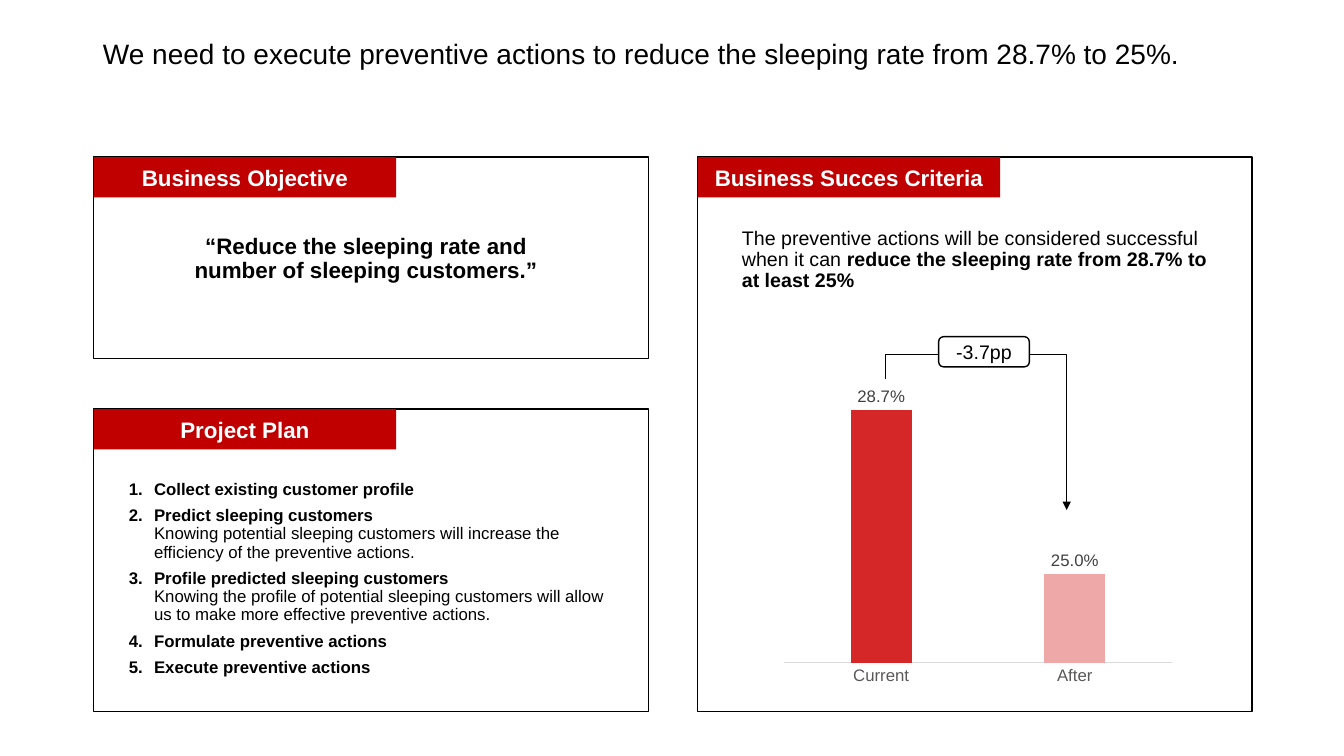
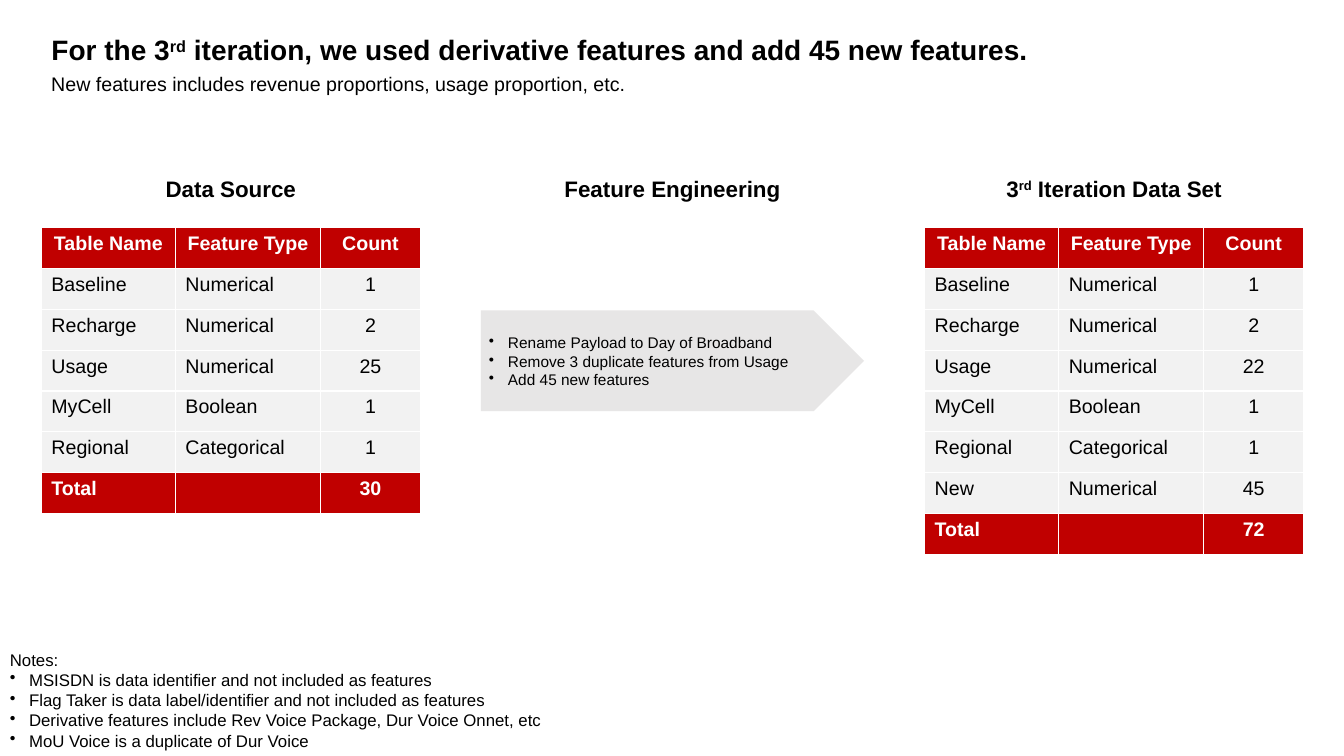
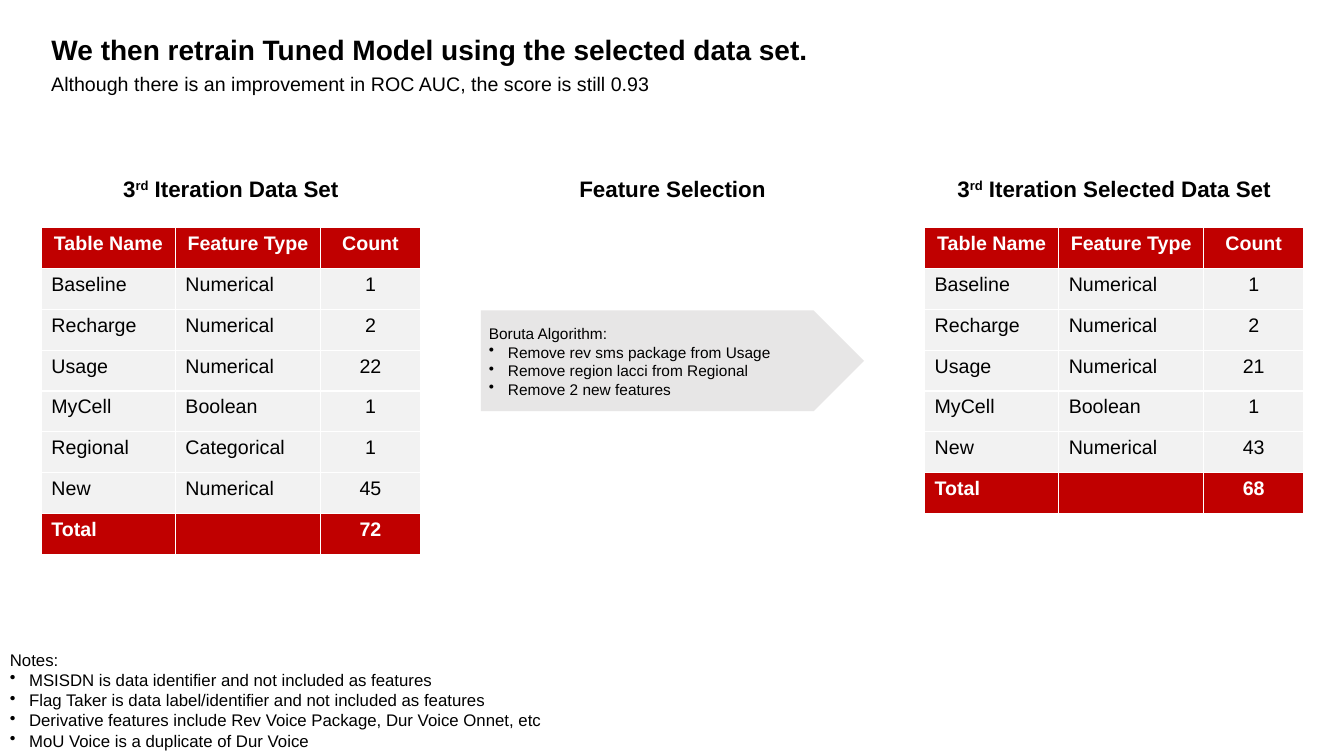
import pptx
import pptx.chart.data
import pptx.dml.color
import pptx.enum.chart
import pptx.enum.shapes
import pptx.enum.text
import pptx.oxml
import pptx.oxml.ns
import pptx.util
from lxml import etree

Inches = pptx.util.Inches
Pt = pptx.util.Pt
RGB = pptx.dml.color.RGBColor
SHAPE = pptx.enum.shapes.MSO_SHAPE
ALIGN = pptx.enum.text.PP_ALIGN
ANCHOR = pptx.enum.text.MSO_ANCHOR
qn = pptx.oxml.ns.qn

# Shared look
FONT = "Arial"
BLACK = RGB(0x00, 0x00, 0x00)
WHITE = RGB(0xFF, 0xFF, 0xFF)
RED = RGB(0xC0, 0x00, 0x00)
CELL_GRAY = RGB(0xF2, 0xF2, 0xF2)
ARROW_GRAY = RGB(0xE7, 0xE6, 0xE6)
BAR_RED = RGB(0xD6, 0x27, 0x28)
BAR_PINK = RGB(0xEF, 0xA8, 0xA8)
AXIS_LINE = RGB(0xD9, 0xD9, 0xD9)
AXIS_TEXT = RGB(0x59, 0x59, 0x59)
LABEL_TEXT = RGB(0x40, 0x40, 0x40)

# Data set pages
COL_WIDTHS = (1.33, 1.44, 0.99)
ROW_HEIGHT = 0.405
TABLE_HEAD = ("Table Name", "Feature Type", "Count")
NOTES = [
    ["Notes:"],
    ["MSISDN is data identifier and not included as features"],
    ["Flag Taker is data label/identifier and not included as features"],
    ["Derivative features include Rev Voice Package, Dur Voice Onnet, etc"],
    ["MoU Voice is a duplicate of Dur Voice"],
]
THIRD = ["3", ("rd", "sup")]


def set_font(font, size, color, bold=False):
    font.name = FONT
    font.size = Pt(size)
    font.bold = bold
    font.color.rgb = color


def add_bullet(p, indent, tag, **attrs):
    pPr = p._p.get_or_add_pPr()
    pPr.set("marL", str(Inches(indent)))
    pPr.set("indent", str(-Inches(indent)))
    etree.SubElement(pPr, qn(tag), attrs)


def write(tf, paras, size, color=BLACK, bold=False, align=ALIGN.LEFT,
          anchor=ANCHOR.MIDDLE, line=None, after=None):
    """Each paragraph is a list of runs: text, or (text, "bold" or "sup")."""
    tf.word_wrap = True
    tf.auto_size = pptx.enum.text.MSO_AUTO_SIZE.NONE
    tf.vertical_anchor = anchor
    for i, runs in enumerate(paras):
        p = tf.add_paragraph() if i else tf.paragraphs[0]
        p.alignment = align
        if line:
            p.line_spacing = line
        if after:
            p.space_after = Pt(after)
        for item in runs:
            text, style = (item, "") if isinstance(item, str) else item
            if text == "\n":
                p.add_line_break()
                etree.SubElement(p._p[-1], qn("a:rPr"), sz=str(size * 100))
                continue
            r = p.add_run()
            r.text = text
            set_font(r.font, size, color, bold or style == "bold")
            if style == "sup":
                r._r.get_or_add_rPr().set("baseline", "30000")


def add_text(slide, box, paras, size, **style):
    tf = slide.shapes.add_textbox(*map(Inches, box)).text_frame
    write(tf, paras, size, **style)
    return tf


def add_box(slide, box, fill, line=None, kind=SHAPE.RECTANGLE):
    sp = slide.shapes.add_shape(kind, *map(Inches, box))
    sp.shadow.inherit = False
    sp.fill.solid()
    sp.fill.fore_color.rgb = fill
    if line is None:
        sp.line.fill.background()
    else:
        sp.line.color.rgb = line
        sp.line.width = Pt(1)
    return sp


def add_page(prs, title, box, bold):
    slide = prs.slides.add_slide(prs.slide_layouts[5])
    sp = slide.shapes.title
    sp.left, sp.top, sp.width, sp.height = map(Inches, box)
    write(sp.text_frame, [title], 20, bold=bold, line=0.9)
    return slide


# Objective page
def add_panel(slide, box, heading):
    x, y, w, h = box
    add_box(slide, box, WHITE, BLACK)
    tab = add_box(slide, (x, y, 3, 0.4), RED)
    write(tab.text_frame, [[heading]], 16, color=WHITE, bold=True, align=ALIGN.CENTER)


def add_objective(slide, x, y):
    add_panel(slide, (x, y, 5.5, 2), "Business Objective")
    add_text(slide, (x + 0.7, y + 0.5, 4, 1.03),
             [["“Reduce the sleeping rate and number of sleeping customers.”"]],
             16, bold=True, align=ALIGN.CENTER, line=0.9, after=6)


def add_plan(slide, x, y):
    add_panel(slide, (x, y, 5.5, 3), "Project Plan")
    steps = [
        ("Collect existing customer profile", ""),
        ("Predict sleeping customers",
         "Knowing potential sleeping customers will increase the efficiency "
         "of the preventive actions."),
        ("Profile predicted sleeping customers",
         "Knowing the profile of potential sleeping customers will allow us "
         "to make more effective preventive actions."),
        ("Formulate preventive actions", ""),
        ("Execute preventive actions", ""),
    ]
    paras = [[(step, "bold")] + (["\n", reason] if reason else [])
             for step, reason in steps]
    tf = add_text(slide, (x + 0.25, y + 0.66, 5, 2.13), paras, 12,
                  anchor=ANCHOR.TOP, line=0.9, after=6)
    for p in tf.paragraphs:
        add_bullet(p, 0.25, "a:buAutoNum", type="arabicPeriod")


def add_rate_chart(slide, box):
    data = pptx.chart.data.CategoryChartData(number_format="0.0%")
    data.categories = ["Current", "After"]
    data.add_series("Series 1", (0.287, 0.25))
    chart = slide.shapes.add_chart(
        pptx.enum.chart.XL_CHART_TYPE.COLUMN_CLUSTERED,
        *map(Inches, box), data).chart
    chart.has_legend = False
    chart.has_title = False
    set_font(chart.font, 10, BLACK)

    value_axis = chart.value_axis
    value_axis.minimum_scale, value_axis.maximum_scale = 0.23, 0.29
    value_axis.has_major_gridlines = False
    value_axis.visible = False
    axis = chart.category_axis
    axis.major_tick_mark = pptx.enum.chart.XL_TICK_MARK.NONE
    axis.format.line.color.rgb = AXIS_LINE
    axis.format.line.width = Pt(0.75)
    set_font(axis.tick_labels.font, 12, AXIS_TEXT)

    plot = chart.plots[0]
    plot.gap_width, plot.overlap = 219, -27
    plot.vary_by_categories = False
    for i, color in enumerate((BAR_RED, BAR_PINK)):
        fill = plot.series[0].points[i].format.fill
        fill.solid()
        fill.fore_color.rgb = color
    plot.has_data_labels = True
    labels = plot.data_labels
    labels.show_value = True
    labels.number_format, labels.number_format_is_linked = "0.0%", False
    labels.position = pptx.enum.chart.XL_LABEL_POSITION.OUTSIDE_END
    set_font(labels.font, 12, LABEL_TEXT)


def add_drop_arrow(slide, x, y, w, h, rise):
    """Elbow that leaves (x, y) upwards and comes down at (x + w, y + h)."""
    cx, cy = x + w / 2, y + h / 2
    # The elbow is laid out on its side, then turned by 270 degrees
    line = slide.shapes.add_connector(
        pptx.enum.shapes.MSO_CONNECTOR.ELBOW,
        Inches(cx + h / 2), Inches(cy - w / 2),
        Inches(cx - h / 2), Inches(cy + w / 2))
    line.line.color.rgb = BLACK
    line.line.width = Pt(0.5)
    spPr = line._element.spPr
    spPr.find(qn("a:xfrm")).set("rot", "16200000")
    guides = spPr.find(qn("a:prstGeom")).get_or_add_avLst()
    etree.SubElement(guides, qn("a:gd"), name="adj1",
                     fmla=f"val {round(-rise / h * 100000)}")
    etree.SubElement(spPr.find(qn("a:ln")), qn("a:tailEnd"), type="triangle")
    etree.SubElement(spPr, qn("a:effectLst"))


def add_criteria(slide, x, y):
    add_panel(slide, (x, y, 5.5, 5.5), "Business Succes Criteria")
    add_text(slide, (x + 0.34, y + 0.57, 5, 0.9),
             [["The preventive actions will be considered successful when it can ",
               ("reduce the sleeping rate from 28.7% to at least 25%", "bold")]],
             14, line=0.9, after=6)
    add_rate_chart(slide, (x + 0.78, y + 2.29, 4, 3))
    add_drop_arrow(slide, x + 1.86, y + 2.2, 1.8, 1.3, 0.24)
    change = add_box(slide, (x + 2.39, y + 1.78, 0.9, 0.3), WHITE, BLACK,
                     SHAPE.ROUNDED_RECTANGLE)
    write(change.text_frame, [["-3.7pp"]], 14, align=ALIGN.CENTER)


def build_objective_page(prs):
    slide = add_page(
        prs, ["We need to execute preventive actions to reduce the sleeping "
              "rate from 28.7% to 25%."], (0.92, 0, 11.5, 1.1), False)
    add_objective(slide, 0.93, 1.56)
    add_plan(slide, 0.93, 4.06)
    add_criteria(slide, 6.92, 1.56)


# Data set pages
def add_cell_borders(cell):
    tcPr = cell._tc.get_or_add_tcPr()
    for i, side in enumerate(("a:lnL", "a:lnR", "a:lnT", "a:lnB")):
        ln = etree.Element(qn(side), w=str(Pt(1)))
        fill = etree.SubElement(ln, qn("a:solidFill"))
        etree.SubElement(fill, qn("a:srgbClr"), val=str(WHITE))
        tcPr.insert(i, ln)


def add_data_set(slide, x, y, heading, features):
    width = sum(COL_WIDTHS)
    add_text(slide, (x, y, width, 0.52), [heading], 16, bold=True,
             align=ALIGN.CENTER)
    total = sum(count for _, _, count in features)
    rows = [TABLE_HEAD, *features, ("Total", "", total)]
    table = slide.shapes.add_table(
        len(rows), len(COL_WIDTHS), Inches(x), Inches(y + 0.65),
        Inches(width), Inches(ROW_HEIGHT * len(rows))).table
    table.first_row = table.horz_banding = False
    for col, col_width in zip(table.columns, COL_WIDTHS):
        col.width = Inches(col_width)
    for i, row in enumerate(rows):
        strong = i in (0, len(rows) - 1)
        for j, value in enumerate(row):
            cell = table.cell(i, j)
            cell.fill.solid()
            cell.fill.fore_color.rgb = RED if strong else CELL_GRAY
            add_cell_borders(cell)
            if value == "":
                continue
            p = cell.text_frame.paragraphs[0]
            p.alignment = ALIGN.CENTER if i == 0 or j == 2 else ALIGN.LEFT
            r = p.add_run()
            r.text = str(value)
            set_font(r.font, 14, WHITE if strong else BLACK, strong)


def bullet_after(tf, skip):
    for p in tf.paragraphs[skip:]:
        add_bullet(p, 0.19, "a:buChar", char="•")


def add_process(slide, x, y, heading, lines, skip):
    add_text(slide, (x, y, 3.8, 0.52), [[heading]], 16, bold=True,
             align=ALIGN.CENTER)
    arrow = add_box(slide, (x, y + 1.47, 3.8, 1), ARROW_GRAY,
                    kind=SHAPE.RIGHT_ARROW)
    arrow.adjustments[0], arrow.adjustments[1] = 1, 0.5
    tf = add_text(slide, (x - 0.02, y + 1.61, 3.5, 0.73),
                  [[text] for text in lines], 11)
    bullet_after(tf, skip)


def build_data_page(prs, title, subtitle, source, process, result):
    slide = add_page(prs, title, (0.41, 0.2, 11.78, 0.62), True)
    add_text(slide, (0.41, 0.66, 10.83, 0.34), [[subtitle]], 14,
             anchor=ANCHOR.TOP)
    add_data_set(slide, 0.41, 1.61, *source)
    add_process(slide, 4.77, 1.61, *process)
    add_data_set(slide, 9.17, 1.61, *result)
    notes = add_box(slide, (0, 6.39, 5.84, 1.11), WHITE).text_frame
    write(notes, NOTES, 12)
    bullet_after(notes, 1)


def list_features(usage, regional=0, new=0):
    rows = [("Baseline", "Numerical", 1), ("Recharge", "Numerical", 2),
            ("Usage", "Numerical", usage), ("MyCell", "Boolean", 1),
            ("Regional", "Categorical", regional), ("New", "Numerical", new)]
    return [row for row in rows if row[2]]


def main():
    prs = pptx.Presentation()
    prs.slide_width, prs.slide_height = Inches(13.33), Inches(7.5)
    third_set = (THIRD + [" Iteration Data Set"], list_features(22, 1, 45))

    build_objective_page(prs)
    build_data_page(
        prs,
        ["For the 3", ("rd", "sup"),
         " iteration, we used derivative features and add 45 new features."],
        "New features includes revenue proportions, usage proportion, etc.",
        (["Data Source"], list_features(25, 1)),
        ("Feature Engineering",
         ["Rename Payload to Day of Broadband",
          "Remove 3 duplicate features from Usage",
          "Add 45 new features"], 0),
        third_set)
    build_data_page(
        prs,
        ["We then retrain Tuned Model using the selected data set."],
        "Although there is an improvement in ROC AUC, the score is still 0.93",
        third_set,
        ("Feature Selection",
         ["Boruta Algorithm:",
          "Remove rev sms package from Usage",
          "Remove region lacci from Regional",
          "Remove 2 new features"], 1),
        (THIRD + [" Iteration Selected Data Set"], list_features(21, new=43)))
    prs.save("out.pptx")


if __name__ == "__main__":
    main()
